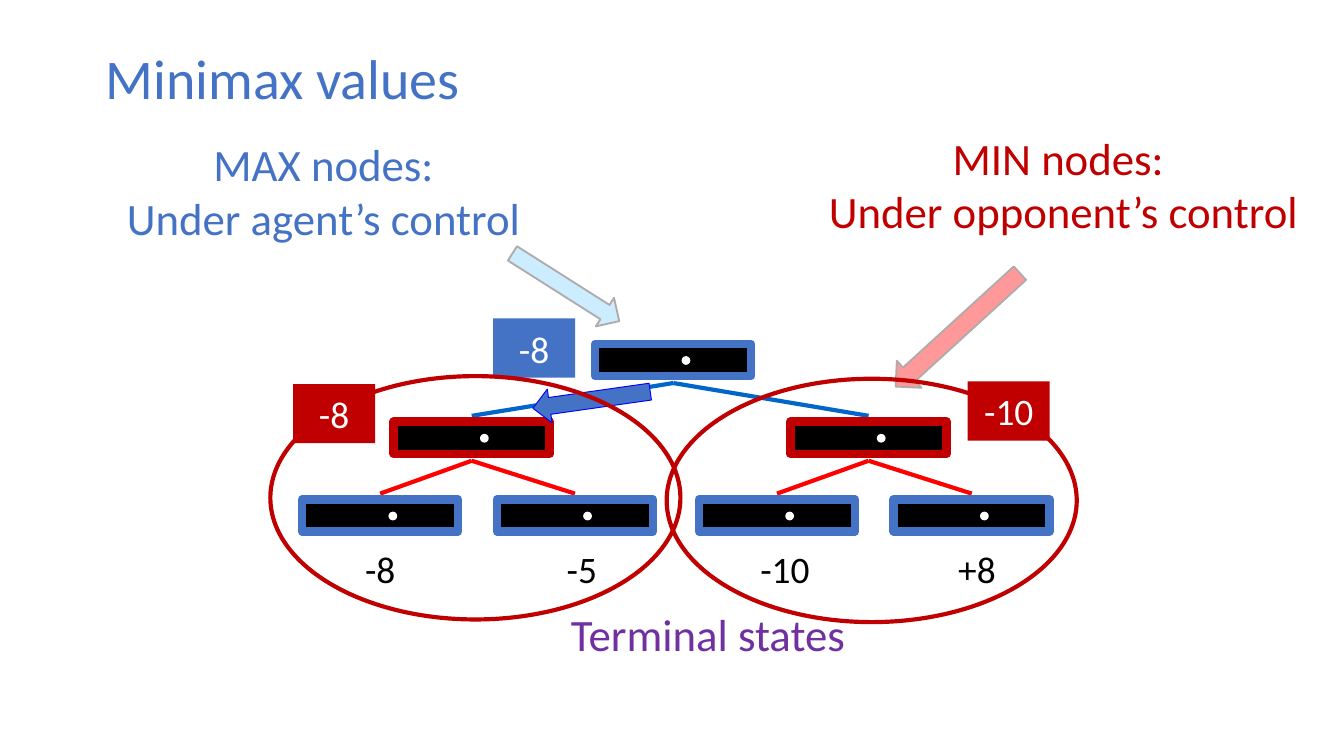
from lxml import etree
from pptx import Presentation
from pptx import util as u
from pptx.dml.color import RGBColor
from pptx.enum import shapes, text
from pptx.oxml.ns import qn

BLUE, RED, BLACK, WHITE = "4472C4", "C00000", "000000", "FFFFFF"
NODE_WIDTH, NODE_HEIGHT = 2.95, 0.61
LEVEL_TOPS = 6.5, 7.97, 9.44
ROOT_LEFT = 11.25
MIN_LEFTS = 7.44, 14.94
LEAF_OFFSETS = -1.73, 1.95


def color(value):
    return RGBColor.from_string(value)


def write(frame, content, size=20, fill=BLACK, align=text.PP_ALIGN.LEFT,
          anchor=text.MSO_ANCHOR.TOP, wrap=True, line_spacing=None, after=0):
    frame.word_wrap = wrap
    frame.vertical_anchor = anchor
    for index, line in enumerate(content.split("\n")):
        paragraph = frame.add_paragraph() if index else frame.paragraphs[0]
        paragraph.alignment = align
        paragraph.space_after = u.Pt(after)
        if line_spacing:
            paragraph.line_spacing = line_spacing
        run = paragraph.add_run()
        run.text = line
        run.font.name = "Calibri"
        run.font.size = u.Pt(size)
        run.font.color.rgb = color(fill)


class Sketch:
    def __init__(self, slide):
        self.slide = slide

    def shape(self, kind, left, top, width, height, fill=None, line=None,
              weight=1, rotation=0):
        shape = self.slide.shapes.add_shape(
            kind, u.Cm(left), u.Cm(top), u.Cm(width), u.Cm(height))
        shape.shadow.inherit = False
        shape.rotation = rotation
        if fill:
            shape.fill.solid()
            shape.fill.fore_color.rgb = color(fill)
        else:
            shape.fill.background()
        if line:
            shape.line.color.rgb = color(line)
            shape.line.width = u.Pt(weight)
        else:
            shape.line.fill.background()
        return shape

    def label(self, content, left, top, width, height, **style):
        box = self.slide.shapes.add_textbox(
            u.Cm(left), u.Cm(top), u.Cm(width), u.Cm(height))
        write(box.text_frame, content, **style)

    def node(self, left, top, line):
        self.shape(shapes.MSO_SHAPE.RECTANGLE, left, top, NODE_WIDTH,
                   NODE_HEIGHT, BLACK, line, 4.5)
        self.shape(shapes.MSO_SHAPE.OVAL, left + 1.65, top + 0.25,
                   0.13, 0.13, WHITE, WHITE)

    def edge(self, parent_left, parent_top, child_left, child_top, line):
        middle = NODE_WIDTH / 2
        connector = self.slide.shapes.add_connector(
            shapes.MSO_CONNECTOR.STRAIGHT,
            u.Cm(parent_left + middle), u.Cm(parent_top + 0.74),
            u.Cm(child_left + middle), u.Cm(child_top - 0.11))
        connector.line.color.rgb = color(line)
        connector.line.width = u.Pt(2.25)
        etree.SubElement(connector._element.spPr, qn("a:effectLst"))

    def badge(self, content, left, top, fill):
        shape = self.shape(shapes.MSO_SHAPE.RECTANGLE, left, top, 1.55, 1.12, fill)
        write(shape.text_frame, content, fill=WHITE, wrap=False, after=4.5,
              align=text.PP_ALIGN.CENTER, anchor=text.MSO_ANCHOR.MIDDLE)

    def arrow(self, left, top, width, height, rotation, fill, line, weight=1):
        self.shape(shapes.MSO_SHAPE.RIGHT_ARROW, left, top, width, height,
                   fill, line, weight, rotation)

    def ring(self, left, top):
        self.shape(shapes.MSO_SHAPE.OVAL, left, top, 7.75, 4.6,
                   line=RED, weight=2.25)


def draw_tree(sketch):
    root_top, min_top, leaf_top = LEVEL_TOPS
    sketch.node(ROOT_LEFT, root_top, BLUE)
    for min_left in MIN_LEFTS:
        sketch.edge(ROOT_LEFT, root_top, min_left, min_top, "0066CC")
        sketch.node(min_left, min_top, RED)
        for offset in LEAF_OFFSETS:
            sketch.edge(min_left, min_top, min_left + offset, leaf_top, "FF0000")
            sketch.node(min_left + offset, leaf_top, BLUE)
    for value, left in (("-8", 6.65), ("-5", 10.46), ("-10", 14.12), ("+8", 17.86)):
        sketch.label(value, left, 10.19, 1.78, 1.12)


def main():
    presentation = Presentation()
    presentation.slide_width, presentation.slide_height = u.Cm(25.4), u.Cm(14.29)
    sketch = Sketch(presentation.slides.add_slide(presentation.slide_layouts[6]))

    draw_tree(sketch)
    center = text.PP_ALIGN.CENTER
    sketch.label("MAX nodes:\nUnder agent’s control", 1.35, 2.46, 9.53, 2.31,
                 size=24, fill=BLUE, align=center)
    sketch.label("Terminal states", 10.54, 11.35, 5.87, 1.27,
                 size=24, fill="7030A0")
    sketch.arrow(9.5, 5.11, 2.39, 0.64, 32.4, "CCECFF", "AFABAB")
    sketch.label("MIN nodes:\n Under opponent’s control", 14.6, 2.34, 10.8, 2.31,
                 size=24, fill=RED, align=center)
    sketch.arrow(16.51, 5.89, 3.18, 0.69, 137.6, "FF9999", "AFABAB")
    sketch.badge("-8", 9.32, 6.02, BLUE)
    sketch.arrow(10.06, 7.24, 2.24, 0.64, 171.9, BLUE, "0000FF", 0.5)
    sketch.label("Minimax values", 1.75, 0.76, 21.9, 1.57, size=30, fill=BLUE,
                 anchor=text.MSO_ANCHOR.MIDDLE, line_spacing=0.9)
    sketch.ring(5.11, 7.11)
    sketch.badge("-8", 5.54, 7.26, RED)
    sketch.ring(12.6, 7.16)
    sketch.badge("-10", 18.29, 7.21, RED)

    presentation.save("out.pptx")


if __name__ == "__main__":
    main()
